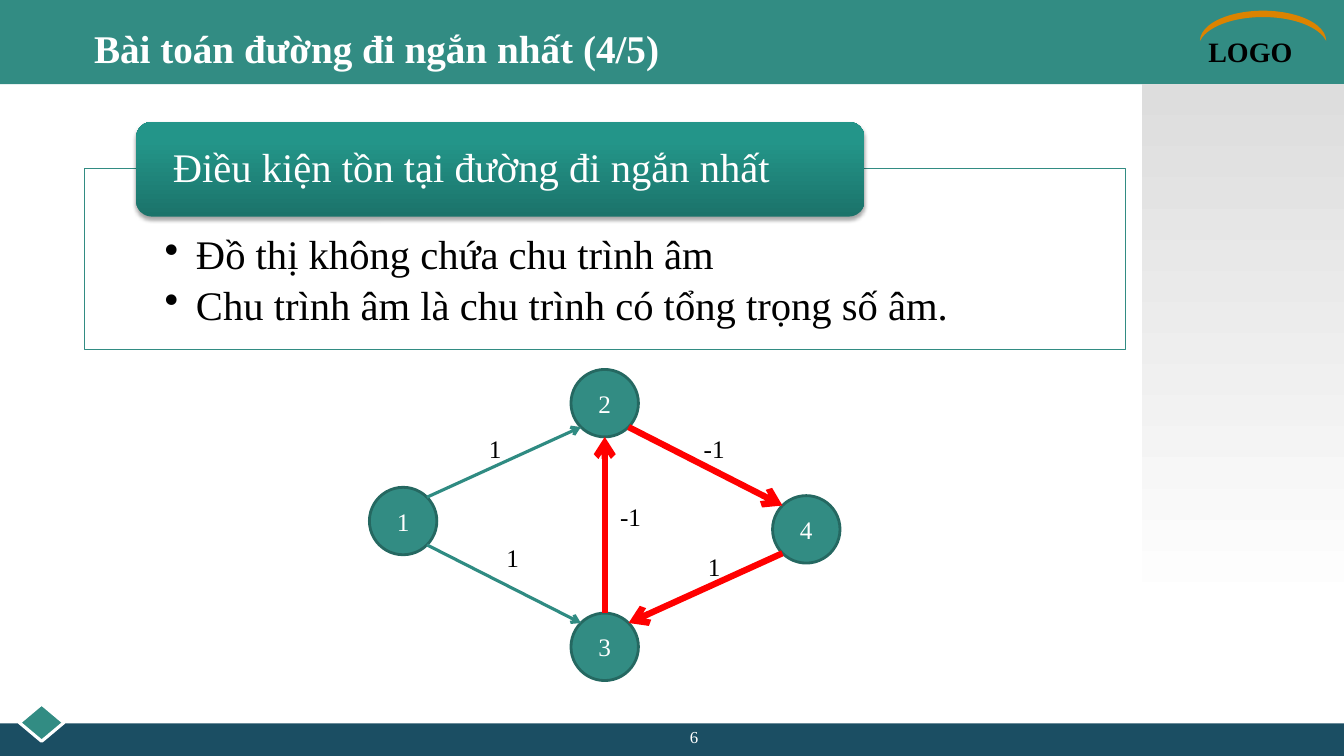
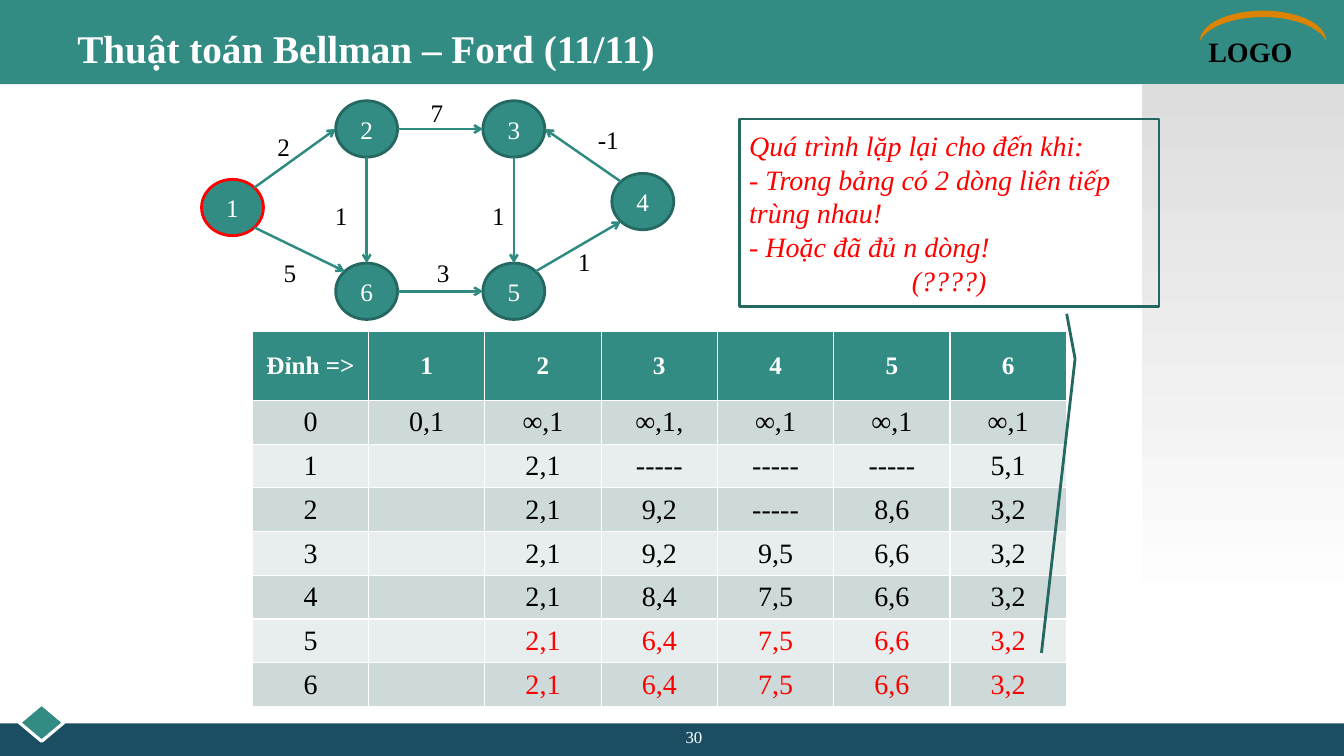
import dataclasses

import lxml.etree
import pptx
import pptx.dml.color
import pptx.enum.shapes
import pptx.enum.text
import pptx.oxml
import pptx.oxml.ns
import pptx.util


@dataclasses.dataclass(frozen=True)
class Theme:
    font: str = "Times New Roman"
    teal: str = "328C83"
    teal_dark: str = "256861"
    teal_edge: str = "2F8B82"
    navy: str = "1B4E63"
    orange: str = "DC8300"
    red: str = "FF0000"
    black: str = "000000"
    white: str = "FFFFFF"
    row_tints: tuple = ("CEDAD9", "E8EEED")
    side_fade: tuple = ("DDDDDD", "FFFFFF", 1, 270)  # start, end, end position, angle
    heading_fade: tuple = ("1B736A", "239589", 0.8, 90)
    title_size: float = 28
    body_size: float = 29
    note_size: float = 20
    graph_size: float = 18
    number_size: float = 12


theme = Theme()
rgb = pptx.dml.color.RGBColor.from_string
qn = pptx.oxml.ns.qn
KIND = pptx.enum.shapes.MSO_SHAPE
ALIGN = pptx.enum.text.PP_ALIGN
ANCHOR = pptx.enum.text.MSO_ANCHOR


def draw(slide, kind, at, fill=None, line=None):
    """Add a preset shape, or a text box when kind is None; lengths in cm."""
    box = [pptx.util.Cm(length) for length in at]
    if kind is None:
        return slide.shapes.add_textbox(*box)
    shape = slide.shapes.add_shape(kind, *box)
    shape.shadow.inherit = False
    if isinstance(fill, tuple):
        start, end, position, angle = fill
        shape.fill.gradient()
        shape.fill.gradient_angle = angle
        first, last = shape.fill.gradient_stops
        first.color.rgb, last.color.rgb = rgb(start), rgb(end)
        last.position = position
    elif fill:
        shape.fill.solid()
        shape.fill.fore_color.rgb = rgb(fill)
    else:
        shape.fill.background()
    if line:
        shape.line.color.rgb = rgb(line[0])
        shape.line.width = pptx.util.Pt(line[1])
    else:
        shape.line.fill.background()
    return shape


def write(holder, lines, size, color, align=ALIGN.LEFT, anchor=ANCHOR.TOP,
          bold=False, italic=False):
    """Fill a shape or a table cell with one paragraph per line."""
    frame = holder.text_frame
    frame.word_wrap = True
    holder.vertical_anchor = frame.vertical_anchor = anchor
    frame.text = "\n".join(lines)
    for paragraph in frame.paragraphs:
        paragraph.alignment = align
        font = paragraph.font
        font.name, font.size = theme.font, pptx.util.Pt(size)
        font.bold, font.italic = bold, italic
        font.color.rgb = rgb(color)
    return frame


deck = pptx.Presentation()
deck.slide_width, deck.slide_height = pptx.util.Cm(33.87), pptx.util.Cm(19.05)

# Bands, corner mark, title and number on every slide
pages = [
    ("Bài toán đường đi ngắn nhất (4/5)", 2.12, "6"),
    ("Thuật toán Bellman – Ford (11/11)", 1.7, "30"),
]
for title, title_left, number in pages:
    slide = deck.slides.add_slide(deck.slide_layouts[6])
    draw(slide, KIND.RECTANGLE, (0, 0, 33.87, 2.12), theme.teal)
    draw(slide, KIND.RECTANGLE, (0, 18.23, 33.87, 0.82), theme.navy)
    draw(slide, KIND.DIAMOND, (0.49, 17.74, 1.12, 0.94), theme.teal, (theme.white, 2.25))
    write(draw(slide, None, (30.2, 0.74, 3.66, 1.1)), ["LOGO"],
          theme.note_size, theme.black, bold=True)
    arc = draw(slide, KIND.MOON, (31.45, -0.94, 0.76, 3.18), theme.orange)
    arc.rotation = 90
    arc.adjustments[0] = 0.21
    draw(slide, KIND.RECTANGLE, (28.78, 2.12, 5.09, 13.33), theme.side_fade)
    write(draw(slide, None, (title_left, 0.43, 26.24, 1.57)), [title],
          theme.title_size, theme.white, anchor=ANCHOR.MIDDLE, bold=True)
    write(draw(slide, None, (13.54, 18.18, 7.9, 0.66)), [number],
          theme.number_size, theme.white, ALIGN.CENTER)

condition_slide, bellman_slide = deck.slides

# Condition panel with bullets
panel = draw(condition_slide, KIND.RECTANGLE, (2.12, 4.24, 26.24, 4.57),
             theme.white, (theme.teal, 0.75))
conditions = write(panel, [
    "Đồ thị không chứa chu trình âm",
    "Chu trình âm là chu trình có tổng trọng số âm.",
], theme.body_size, theme.black)
conditions.margin_left = conditions.margin_right = pptx.util.Cm(2.03)
conditions.margin_top = pptx.util.Cm(1.68)
for paragraph in conditions.paragraphs:
    paragraph.line_spacing = 0.9
    paragraph.space_after = pptx.util.Pt(5)
    properties = paragraph._p.get_or_add_pPr()
    properties.set("marL", str(pptx.util.Cm(0.79)))
    properties.set("indent", str(pptx.util.Cm(-0.79)))
    bullet = pptx.oxml.parse_xml(
        f'<a:buChar {pptx.oxml.ns.nsdecls("a")} char="•"/>')
    properties.find(qn("a:spcAft")).addnext(bullet)

# Panel heading with a soft shadow
heading = draw(condition_slide, KIND.ROUNDED_RECTANGLE, (3.43, 3.07, 18.36, 2.39),
               theme.heading_fade)
heading_text = write(heading, ["Điều kiện tồn tại đường đi ngắn nhất"],
                     theme.body_size, theme.white, anchor=ANCHOR.MIDDLE)
heading_text.margin_left = pptx.util.Cm(0.81)
heading_text.paragraphs[0].line_spacing = 0.9
effects = heading._element.spPr.find(qn("a:effectLst"))
effects.append(pptx.oxml.parse_xml(
    f'<a:outerShdw {pptx.oxml.ns.nsdecls("a")} blurRad="{pptx.util.Pt(3.1)}" '
    f'dist="{pptx.util.Pt(1.8)}" dir="5400000" rotWithShape="0">'
    f'<a:srgbClr val="{theme.black}"><a:alpha val="35000"/></a:srgbClr></a:outerShdw>'))

# Graphs: node corners; edges as (from, side, to, side, on the cycle);
# weights as (text, left, top)
graphs = [
    dict(
        slide=condition_slide, node=(1.7, 1.7), start=None, weight=2.25,
        nodes={1: (9.31, 12.28), 2: (14.39, 9.31), 3: (14.39, 15.45), 4: (19.47, 12.49)},
        edges=[(1, "NE", 2, "SW", False), (2, "SE", 4, "NW", True),
               (4, "SW", 3, "NE", True), (3, "N", 2, "S", True),
               (1, "SE", 3, "NW", False)],
        weights=[("1", 11.63, 10.8), ("1", 12.07, 13.54), ("-1", 15.04, 12.5),
                 ("-1", 17.15, 10.8), ("1", 17.15, 13.77)],
    ),
    dict(
        slide=bellman_slide, node=(1.56, 1.42), start=1, weight=1.75,
        nodes={1: (5.08, 4.52), 2: (8.46, 2.54), 3: (12.17, 2.54),
               4: (15.42, 4.37), 5: (12.17, 6.63), 6: (8.46, 6.63)},
        edges=[(1, "NE", 2, "W", False), (1, "SE", 6, "NW", False),
               (2, "S", 6, "N", False), (2, "E", 3, "W", False),
               (3, "S", 5, "N", False), (6, "E", 5, "W", False),
               (5, "NE", 4, "SW", False), (4, "NW", 3, "E", False)],
        weights=[("2", 6.3, 3.18), ("1", 7.75, 4.93), ("5", 6.46, 6.35),
                 ("7", 10.16, 2.34), ("-1", 14.48, 3), ("1", 11.71, 4.93),
                 ("3", 10.32, 6.35), ("1", 13.87, 6.07)],
    ),
]
for graph in graphs:
    slide, (width, height) = graph["slide"], graph["node"]
    for label, corner in graph["nodes"].items():
        outline = theme.red if label == graph["start"] else theme.teal_dark
        node = draw(slide, KIND.OVAL, (*corner, width, height), theme.teal, (outline, 2))
        write(node, [str(label)], theme.graph_size, theme.white,
              ALIGN.CENTER, ANCHOR.MIDDLE)
    for source, source_side, target, target_side, on_cycle in graph["edges"]:
        ends = []
        for label, side in ((source, source_side), (target, target_side)):
            left, top = graph["nodes"][label]
            reach = 0.5 / len(side) ** 0.5  # diagonal sides lie at 45 degrees
            across = ("E" in side) - ("W" in side)
            down = ("S" in side) - ("N" in side)
            ends += [pptx.util.Cm(left + width * (0.5 + reach * across)),
                     pptx.util.Cm(top + height * (0.5 + reach * down))]
        edge = slide.shapes.add_connector(pptx.enum.shapes.MSO_CONNECTOR.STRAIGHT, *ends)
        edge.line.color.rgb = rgb(theme.red if on_cycle else theme.teal_edge)
        edge.line.width = pptx.util.Pt(4.5 if on_cycle else graph["weight"])
        outline = edge._element.spPr
        lxml.etree.SubElement(outline.find(qn("a:ln")), qn("a:tailEnd"), type="arrow")
        lxml.etree.SubElement(outline, qn("a:effectLst"))
    for text, left, top in graph["weights"]:
        write(draw(slide, None, (left, top, 1.7, 1.02)), [text],
              theme.graph_size, theme.black, ALIGN.CENTER)

# Table of labels after each pass
header = ["Đỉnh =>", "1", "2", "3", "4", "5", "6"]
passes = [
    ["0", "0,1", "∞,1", "∞,1,", "∞,1", "∞,1", "∞,1"],
    ["1", "", "2,1", "-----", "-----", "-----", "5,1"],
    ["2", "", "2,1", "9,2", "-----", "8,6", "3,2"],
    ["3", "", "2,1", "9,2", "9,5", "6,6", "3,2"],
    ["4", "", "2,1", "8,4", "7,5", "6,6", "3,2"],
    ["5", "", "2,1", "6,4", "7,5", "6,6", "3,2"],
    ["6", "", "2,1", "6,4", "7,5", "6,6", "3,2"],
]
repeated_passes = ("5", "6")
rows = [header] + passes
table = bellman_slide.shapes.add_table(
    len(rows), len(header), pptx.util.Cm(6.36), pptx.util.Cm(8.34),
    pptx.util.Cm(20.51), pptx.util.Cm(9.45)).table
for column in table.columns:
    column.width = pptx.util.Cm(2.93)
for r, values in enumerate(rows):
    is_header = r == 0
    table.rows[r].height = pptx.util.Cm(1.75 if is_header else 1.1)
    for c, value in enumerate(values):
        cell = table.cell(r, c)
        cell.fill.solid()
        cell.fill.fore_color.rgb = rgb(theme.teal if is_header else theme.row_tints[(r - 1) % 2])
        if is_header:
            color = theme.white
        else:
            color = theme.red if values[0] in repeated_passes and c else theme.black
        write(cell, [value], theme.graph_size if is_header else theme.note_size, color,
              ALIGN.CENTER, ANCHOR.MIDDLE, bold=is_header)

# Stopping rule, pointing at the repeated rows
stop_rule = draw(bellman_slide, KIND.LINE_CALLOUT_2, (18.63, 3, 10.58, 4.72),
                 line=(theme.teal_dark, 2))
for index, value in enumerate((1.04, 0.78, 1.28, 0.8, 2.85, 0.72)):
    stop_rule.adjustments[index] = value
stop_text = write(stop_rule, [
    "Quá trình lặp lại cho đến khi:",
    "- Trong bảng có 2 dòng liên tiếp trùng nhau!",
    "- Hoặc đã đủ n dòng!",
    "(????)",
], theme.note_size, theme.red, anchor=ANCHOR.MIDDLE, italic=True)
stop_text.paragraphs[-1].alignment = ALIGN.CENTER

deck.save("out.pptx")
